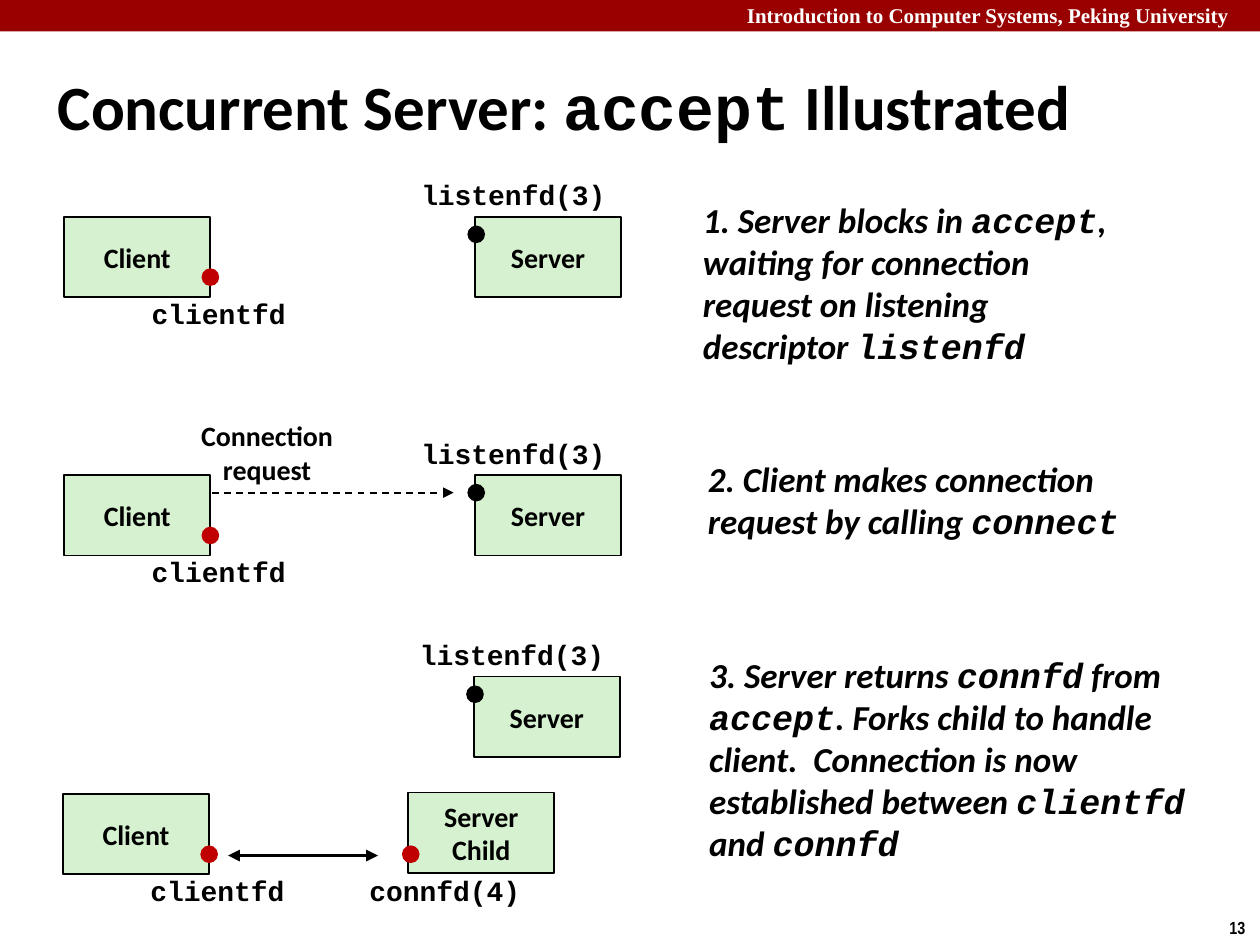
import pptx
import pptx.dml.color
import pptx.enum.dml
import pptx.enum.shapes
import pptx.enum.text
import pptx.oxml.ns
import pptx.util
from lxml import etree

Inches = pptx.util.Inches
Pt = pptx.util.Pt
Shape = pptx.enum.shapes.MSO_SHAPE
Align = pptx.enum.text.PP_ALIGN
Anchor = pptx.enum.text.MSO_ANCHOR
AutoSize = pptx.enum.text.MSO_AUTO_SIZE
qn = pptx.oxml.ns.qn


def color(value):
    return pptx.dml.color.RGBColor.from_string(value)


class Painter:
    BODY, CODE = "Calibri", "Courier New"
    BLACK, WHITE, RED, BANNER, GREEN = "000000", "FFFFFF", "C00000", "990000", "D5F1CF"
    BOX_WIDTH, BOX_HEIGHT, DOT = 1.16, 0.64, 0.14

    def __init__(self, page):
        self.page = page

    def fill_text(self, frame, text, size, font, ink=BLACK, italic=False, align=Align.LEFT):
        """Fill a frame; parts between backticks are set in the code font."""
        for number, line in enumerate(text.split("\n")):
            para = frame.paragraphs[0] if number == 0 else frame.add_paragraph()
            para.alignment = align
            para.font.name = font
            para.font.size = Pt(size)
            para.font.bold = True
            para.font.italic = italic
            para.font.color.rgb = color(ink)
            for index, part in enumerate(line.split("`")):
                if part:
                    span = para.add_run()
                    span.text = part
                    if index % 2:
                        span.font.name = self.CODE

    def text(self, left, top, width, height, text, size=16, font=BODY,
             wrap=True, anchor=Anchor.MIDDLE, grow=True, **style):
        box = self.page.shapes.add_textbox(
            Inches(left), Inches(top), Inches(width), Inches(height))
        frame = box.text_frame
        frame.word_wrap = wrap
        frame.vertical_anchor = anchor
        frame.auto_size = AutoSize.SHAPE_TO_FIT_TEXT if grow else AutoSize.NONE
        self.fill_text(frame, text, size, font, **style)

    def label(self, left, top, width, text, height=0.37, font=CODE):
        self.text(left, top, width, height, text, font=font, wrap=False, align=Align.CENTER)

    def shape(self, kind, left, top, width, height, fill, outlined=False):
        shape = self.page.shapes.add_shape(
            kind, Inches(left), Inches(top), Inches(width), Inches(height))
        shape.shadow.inherit = False
        shape.fill.solid()
        shape.fill.fore_color.rgb = color(fill)
        if outlined:
            shape.line.color.rgb = color(self.BLACK)
            shape.line.width = Pt(1)
        else:
            shape.line.fill.background()
        return shape

    def process(self, left, top, name):
        box = self.shape(Shape.RECTANGLE, left, top, self.BOX_WIDTH, self.BOX_HEIGHT,
                         self.GREEN, outlined=True)
        box.text_frame.word_wrap = False
        box.text_frame.vertical_anchor = Anchor.MIDDLE
        self.fill_text(box.text_frame, name, 16, self.BODY, align=Align.CENTER)

    def dot(self, left, top, fill):
        self.shape(Shape.OVAL, left, top, self.DOT, self.DOT, fill)

    def client(self, left, top):
        self.process(left, top, "Client")
        self.label(left + 0.59, top + 0.58, 1.27, "clientfd")
        self.dot(left + 1.09, top + 0.41, self.RED)

    def server(self, left, top):
        self.process(left, top, "Server")
        self.label(left - 0.53, top - 0.36, 1.67, "listenfd(3)")
        self.dot(left - 0.06, top + 0.07, self.BLACK)

    def child(self, left, top):
        self.process(left, top, "Server\nChild")
        self.label(left - 0.41, top + 0.59, 1.4, "connfd(4)")
        self.dot(left - 0.05, top + 0.42, self.RED)

    def arrow(self, start, end, level, width, ends, dashed=False):
        line = self.page.shapes.add_connector(
            pptx.enum.shapes.MSO_CONNECTOR.STRAIGHT,
            Inches(start), Inches(level), Inches(end), Inches(level))
        line.line.color.rgb = color(self.BLACK)
        line.line.width = Pt(width)
        if dashed:
            line.line.dash_style = pptx.enum.dml.MSO_LINE.DASH
        properties = line._element.spPr
        outline = properties.find(qn("a:ln"))
        for name in ends:
            etree.SubElement(outline, qn("a:" + name), type="triangle")
        etree.SubElement(properties, qn("a:effectLst"))

    def step(self, left, top, width, height, text):
        self.text(left, top, width, height, text, size=20, italic=True)


def main():
    deck = pptx.Presentation()
    deck.slide_width, deck.slide_height = Inches(10), Inches(7.5)
    page = deck.slides.add_slide(deck.slide_layouts[6])
    paint = Painter(page)

    # Banner, page number and title
    paint.shape(Shape.RECTANGLE, 0, 0, 10, 0.25, paint.BANNER)
    paint.text(5.83, -0.03, 4.24, 0.3, "Introduction to Computer Systems, Peking University",
               size=12, font="Times New Roman", ink=paint.WHITE, anchor=Anchor.TOP)
    paint.text(9.66, 7.23, 0.34, 0.27, "13", size=10, font="Arial Narrow",
               wrap=False, anchor=Anchor.TOP)
    paint.text(0.36, 0.52, 9.17, 0.63, "Concurrent Server: `accept` Illustrated",
               size=36, grow=False)

    # Step 1: the server waits
    paint.client(0.51, 1.72)
    paint.server(3.77, 1.72)
    paint.step(5.48, 1.52, 3.6, 1.45, "1. Server blocks in `accept`, waiting for connection "
               "request on listening descriptor `listenfd`")

    # Step 2: the client asks for a connection
    paint.client(0.51, 3.77)
    paint.server(3.77, 3.77)
    paint.arrow(1.68, 3.6, 3.91, 1, ["tailEnd"], dashed=True)
    paint.label(1.49, 3.27, 1.26, "Connection\nrequest", height=0.64, font=paint.BODY)
    paint.step(5.52, 3.58, 4.01, 0.77,
               "2. Client makes connection request by calling `connect`")

    # Step 3: a child process serves the client
    paint.server(3.76, 5.37)
    paint.client(0.5, 6.3)
    paint.child(3.24, 6.29)
    paint.arrow(1.81, 3, 6.79, 2.25, ["headEnd", "tailEnd"])
    paint.step(5.53, 5.13, 4.39, 1.78, "3. Server returns `connfd` from `accept`. Forks child to "
               "handle client.  Connection is now established between `clientfd` and `connfd`")

    deck.save("out.pptx")


if __name__ == "__main__":
    main()
